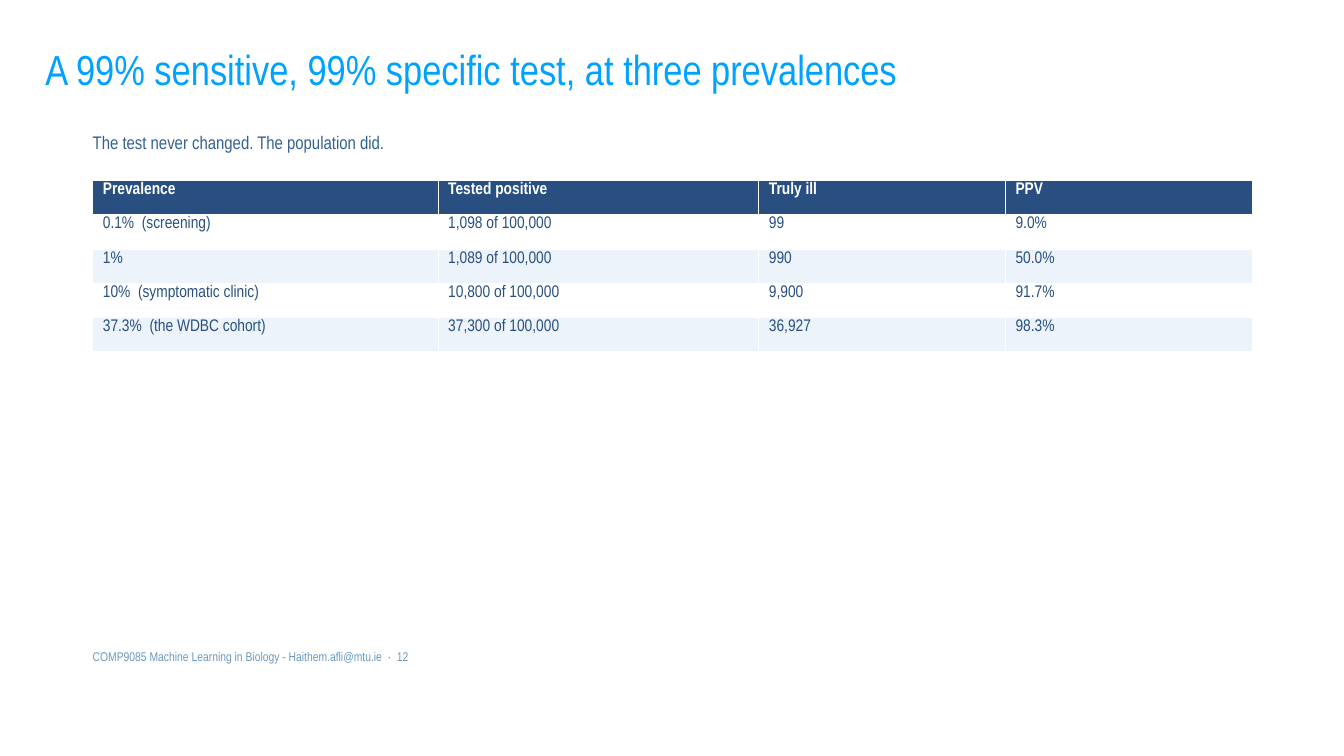
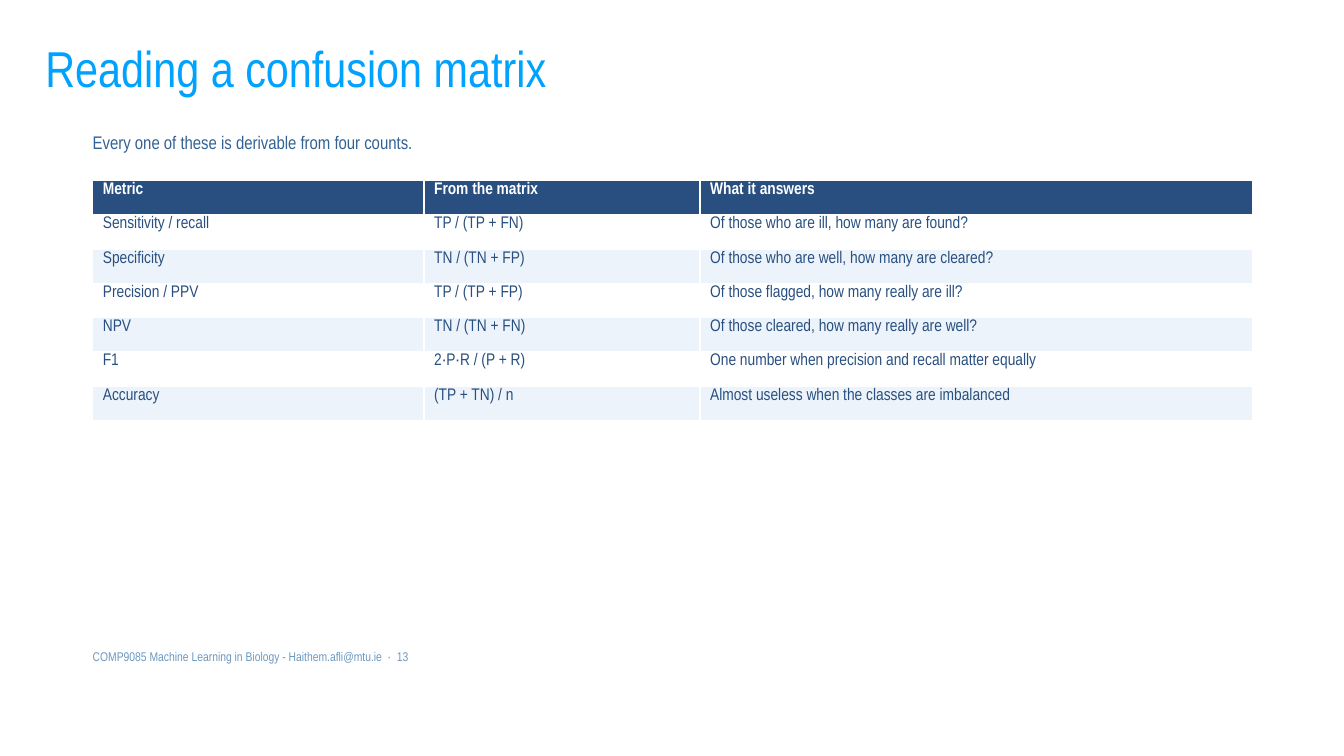
from pptx import Presentation
from pptx.dml.color import RGBColor
from pptx.enum.text import MSO_ANCHOR, MSO_AUTO_SIZE, PP_ALIGN
from pptx.util import Inches, Pt

LEFT = PP_ALIGN.LEFT
MIDDLE = MSO_ANCHOR.MIDDLE
FIXED_SIZE = MSO_AUTO_SIZE.NONE
GROW_TO_TEXT = MSO_AUTO_SIZE.SHAPE_TO_FIT_TEXT
TITLE_ONLY = 5

FONT = "Arial Narrow"
COLOURS = {
    "title": "00A2FF",
    "subtitle": "326194",
    "footer": "6C98C1",
    "navy": "284F80",
    "band": "ECF3FA",
    "white": "FFFFFF",
}
MARGIN = 0.92
CONTENT_WIDTH = 11.5
TABLE_TOP = 1.79
ROW_HEIGHT = 0.34
FOOTER = "COMP9085 Machine Learning in Biology - Haithem.afli@mtu.ie  ·  {}"


class Deck:
    """Hold the shared style and the slide being built."""

    def __init__(self):
        self.presentation = Presentation()
        self.presentation.slide_width = Inches(13.33)
        self.presentation.slide_height = Inches(7.5)
        self.slide = None

    def colour(self, name):
        return RGBColor.from_string(COLOURS[name])

    def style(self, paragraph, size, colour, bold=False):
        paragraph.alignment = LEFT
        font = paragraph.font
        font.name = FONT
        font.size = Pt(size)
        font.bold = bold
        font.color.rgb = self.colour(colour)

    def add_slide(self, title, title_size, subtitle, number):
        layout = self.presentation.slide_layouts[TITLE_ONLY]
        self.slide = self.presentation.slides.add_slide(layout)
        self.add_title(title, title_size)
        self.add_text(subtitle, 1.3, CONTENT_WIDTH, 0.34, 13, "subtitle")
        self.add_text(FOOTER.format(number), 6.44, 7.3, 0.26, 9, "footer")

    def add_title(self, text, size):
        shape = self.slide.shapes.title
        shape.left, shape.top = Inches(0.35), Inches(0.16)
        shape.width, shape.height = Inches(9.2), Inches(1.1)
        frame = shape.text_frame
        frame.text = text
        frame.auto_size = FIXED_SIZE
        frame.vertical_anchor = MIDDLE
        paragraph = frame.paragraphs[0]
        paragraph.line_spacing = 0.9
        self.style(paragraph, size, "title")

    def add_text(self, text, top, width, height, size, colour):
        shape = self.slide.shapes.add_textbox(
            Inches(MARGIN), Inches(top), Inches(width), Inches(height))
        frame = shape.text_frame
        frame.text = text
        frame.word_wrap = True
        frame.auto_size = GROW_TO_TEXT
        frame.margin_left = frame.margin_right = Inches(0)
        frame.margin_top = frame.margin_bottom = Inches(0)
        self.style(frame.paragraphs[0], size, colour)

    def add_table(self, weights, rows):
        table = self.slide.shapes.add_table(
            len(rows), len(weights), Inches(MARGIN), Inches(TABLE_TOP),
            Inches(CONTENT_WIDTH), Inches(ROW_HEIGHT * len(rows))).table
        for column, weight in zip(table.columns, weights):
            column.width = Inches(CONTENT_WIDTH * weight / sum(weights))
        for row_index, texts in enumerate(rows):
            table.rows[row_index].height = Inches(ROW_HEIGHT)
            header = row_index == 0
            fill = "navy" if header else "white" if row_index % 2 else "band"
            for column_index, text in enumerate(texts):
                cell = table.cell(row_index, column_index)
                cell.text = text
                cell.margin_top = cell.margin_bottom = Inches(0.02)
                cell.fill.solid()
                cell.fill.fore_color.rgb = self.colour(fill)
                self.style(cell.text_frame.paragraphs[0], 12,
                           "white" if header else "navy", header)


def main():
    deck = Deck()

    deck.add_slide("A 99% sensitive, 99% specific test, at three prevalences", 30,
                   "The test never changed. The population did.", 12)
    deck.add_table((1.4, 1.3, 1, 1), [
        ("Prevalence", "Tested positive", "Truly ill", "PPV"),
        ("0.1%  (screening)", "1,098 of 100,000", "99", "9.0%"),
        ("1%", "1,089 of 100,000", "990", "50.0%"),
        ("10%  (symptomatic clinic)", "10,800 of 100,000", "9,900", "91.7%"),
        ("37.3%  (the WDBC cohort)", "37,300 of 100,000", "36,927", "98.3%"),
    ])

    deck.add_slide("Reading a confusion matrix", 36,
                   "Every one of these is derivable from four counts.", 13)
    deck.add_table((1.2, 1, 2), [
        ("Metric", "From the matrix", "What it answers"),
        ("Sensitivity / recall", "TP / (TP + FN)",
         "Of those who are ill, how many are found?"),
        ("Specificity", "TN / (TN + FP)",
         "Of those who are well, how many are cleared?"),
        ("Precision / PPV", "TP / (TP + FP)",
         "Of those flagged, how many really are ill?"),
        ("NPV", "TN / (TN + FN)",
         "Of those cleared, how many really are well?"),
        ("F1", "2·P·R / (P + R)",
         "One number when precision and recall matter equally"),
        ("Accuracy", "(TP + TN) / n",
         "Almost useless when the classes are imbalanced"),
    ])

    deck.presentation.save("out.pptx")


if __name__ == "__main__":
    main()
